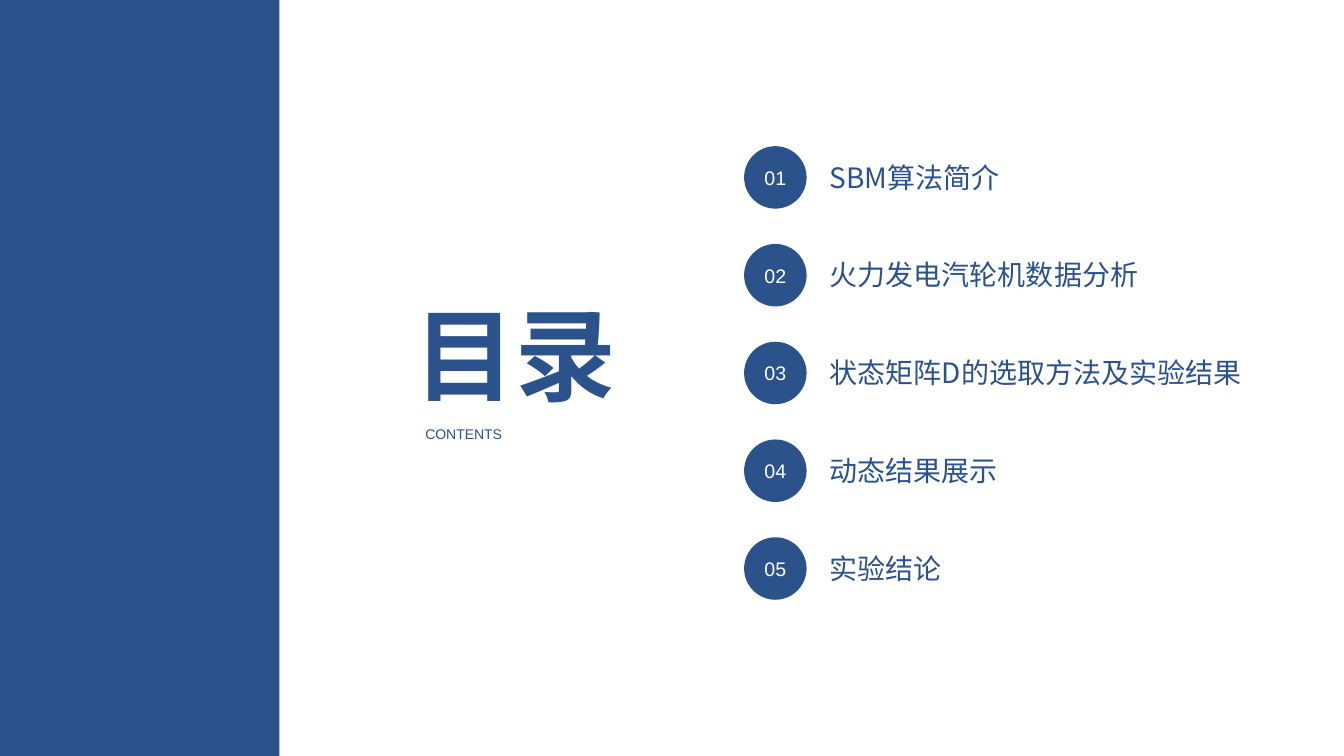
from dataclasses import dataclass

from lxml import etree
from pptx import Presentation
from pptx.dml.color import RGBColor
from pptx.enum.shapes import MSO_SHAPE
from pptx.enum.text import MSO_ANCHOR, MSO_AUTO_SIZE, PP_ALIGN
from pptx.oxml.ns import qn
from pptx.util import Inches, Pt

RECTANGLE, OVAL = MSO_SHAPE.RECTANGLE, MSO_SHAPE.OVAL
TOP, MIDDLE = MSO_ANCHOR.TOP, MSO_ANCHOR.MIDDLE
LEFT, CENTER, JUSTIFY = PP_ALIGN.LEFT, PP_ALIGN.CENTER, PP_ALIGN.JUSTIFY
GROW, FIXED = MSO_AUTO_SIZE.SHAPE_TO_FIT_TEXT, MSO_AUTO_SIZE.NONE

NAVY = RGBColor(0x2B, 0x52, 0x8B)
WHITE = RGBColor(0xFF, 0xFF, 0xFF)
LATIN_FONT = "Arial"
CHINESE_FONT = "Noto Sans CJK SC"

TITLE_ONLY_LAYOUT = 5
ROW_PITCH = 0.97
FIRST_BADGE_TOP = 1.45
FIRST_ENTRY_TOP = 1.54
BADGE_SIZE = 0.62


@dataclass(frozen=True)
class Box:
    left: float
    top: float
    width: float
    height: float

    def lengths(self) -> tuple:
        return tuple(Inches(v) for v in (self.left, self.top, self.width, self.height))


@dataclass(frozen=True)
class TextStyle:
    size: int
    font: str = LATIN_FONT
    color: RGBColor = NAVY
    bold: bool = False
    align: PP_ALIGN = LEFT
    anchor: MSO_ANCHOR = TOP
    auto_size: MSO_AUTO_SIZE = GROW


@dataclass(frozen=True)
class Entry:
    number: str
    topic: str
    width: float = 4.38


TITLE_STYLE = TextStyle(72, bold=True, align=CENTER)
CAPTION_STYLE = TextStyle(10, align=JUSTIFY)
ENTRY_STYLE = TextStyle(20, font=CHINESE_FONT)
BADGE_STYLE = TextStyle(14, color=WHITE, align=CENTER, anchor=MIDDLE, auto_size=FIXED)

ENTRIES = [
    Entry("01", "SBM算法简介", 2.75),
    Entry("02", "火力发电汽轮机数据分析"),
    Entry("03", "状态矩阵D的选取方法及实验结果"),
    Entry("04", "动态结果展示"),
    Entry("05", "实验结论"),
]


def write_text(shape, text: str, style: TextStyle) -> None:
    frame = shape.text_frame
    frame_format = {
        "word_wrap": True,
        "auto_size": style.auto_size,
        "vertical_anchor": style.anchor,
    }
    for name, value in frame_format.items():
        setattr(frame, name, value)
    paragraph = frame.paragraphs[0]
    paragraph.alignment = style.align
    run = paragraph.add_run()
    run.text = text
    font_format = {"size": Pt(style.size), "name": style.font, "bold": style.bold}
    for name, value in font_format.items():
        setattr(run.font, name, value)
    run.font.color.rgb = style.color
    # East Asian typeface
    properties = run.font._element
    etree.SubElement(properties, qn("a:ea")).set("typeface", style.font)


def add_text(slide, box: Box, text: str, style: TextStyle) -> None:
    write_text(slide.shapes.add_textbox(*box.lengths()), text, style)


def add_navy_shape(slide, kind: MSO_SHAPE, box: Box):
    shape = slide.shapes.add_shape(kind, *box.lengths())
    shape.shadow.inherit = False
    shape.fill.solid()
    shape.fill.fore_color.rgb = NAVY
    shape.line.fill.background()
    return shape


def add_entry(slide, row: int, entry: Entry) -> None:
    offset = row * ROW_PITCH
    badge_box = Box(7.38, FIRST_BADGE_TOP + offset, BADGE_SIZE, BADGE_SIZE)
    badge = add_navy_shape(slide, OVAL, badge_box)
    for side in ("left", "right", "top", "bottom"):
        setattr(badge.text_frame, f"margin_{side}", 0)
    write_text(badge, entry.number, BADGE_STYLE)
    topic_box = Box(8.13, FIRST_ENTRY_TOP + offset, entry.width, 0.44)
    add_text(slide, topic_box, entry.topic, ENTRY_STYLE)


def main() -> None:
    deck = Presentation()
    deck.slide_width, deck.slide_height = Inches(13.33), Inches(7.5)
    slide = deck.slides.add_slide(deck.slide_layouts[TITLE_ONLY_LAYOUT])

    # Side panel
    add_navy_shape(slide, RECTANGLE, Box(-0.02, 0, 2.79, 7.5))

    # Heading
    heading = slide.shapes.title
    heading_box = Box(3.77, 2.85, 2.68, 1.31).lengths()
    for name, value in zip(("left", "top", "width", "height"), heading_box):
        setattr(heading, name, value)
    write_text(heading, "目录", TITLE_STYLE)
    add_text(slide, Box(4.12, 4.17, 2, 0.27), "CONTENTS", CAPTION_STYLE)

    # Numbered contents
    for row, entry in enumerate(ENTRIES):
        add_entry(slide, row, entry)

    deck.save("out.pptx")


if __name__ == "__main__":
    main()
